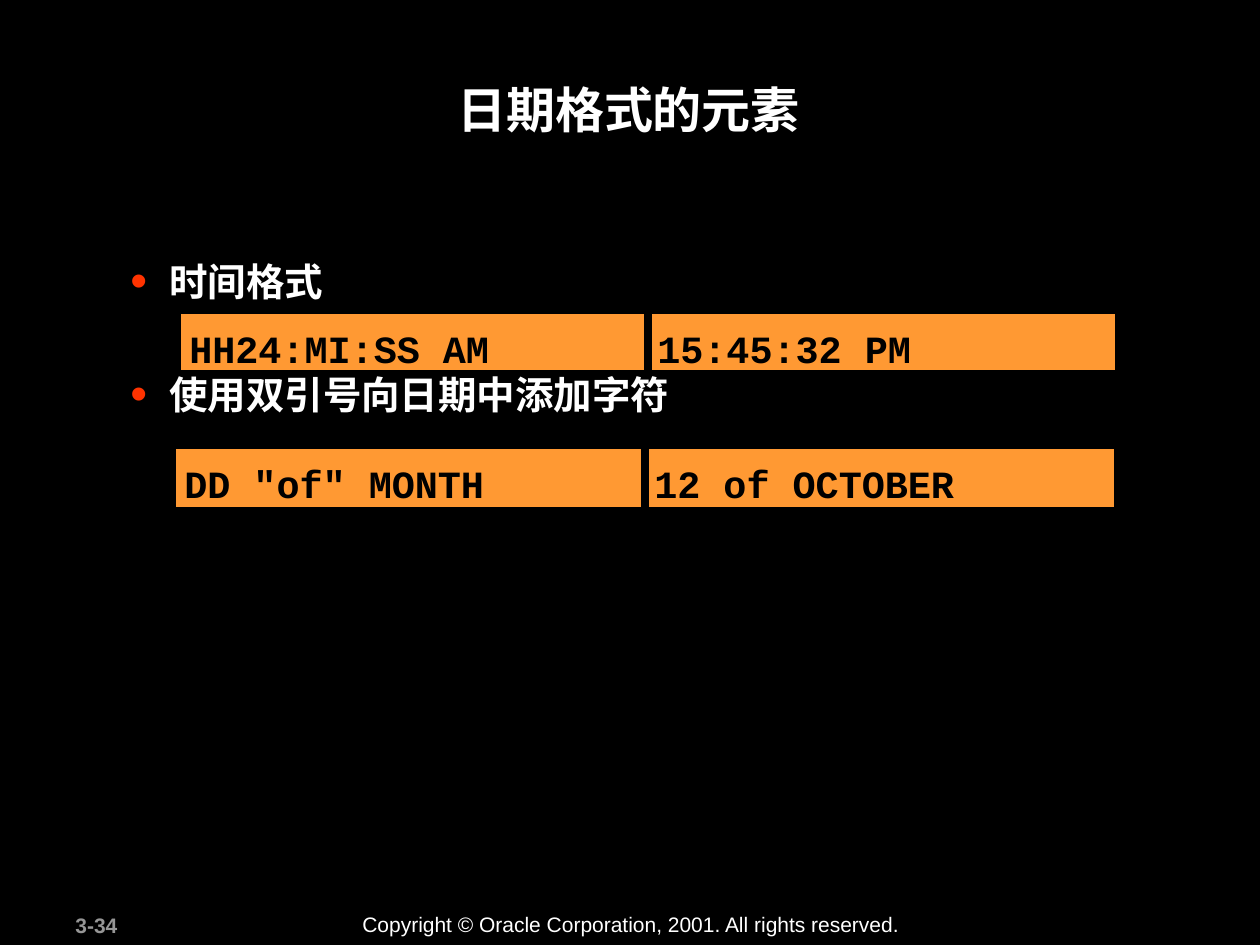
"""Builds the slide on the elements of date formats."""
from dataclasses import dataclass

from lxml.etree import SubElement
from pptx import Presentation
from pptx.dml.color import RGBColor
from pptx.enum.shapes import MSO_SHAPE
from pptx.enum.text import MSO_ANCHOR, PP_ALIGN
from pptx.oxml.ns import qn
from pptx.util import Emu, Pt

PX_PER_INCH = 126
GAP = 4
LABEL_SHIFTS = (-2, -5)
LABEL_DROP = 7
LABEL_HEIGHT = 59


@dataclass(frozen=True)
class ExampleRow:
    left: int
    top: int
    width: int
    height: int
    labels: tuple[str, str]


EXAMPLES = (
    ExampleRow(179, 312, 467, 60, ("HH24:MI:SS AM", "15:45:32 PM")),
    ExampleRow(174, 447, 469, 62, ('DD "of" MONTH', "12 of OCTOBER")),
)


def px(length: int) -> Emu:
    return Emu(round(length * 914400 / PX_PER_INCH))


def color(value: str) -> RGBColor:
    return RGBColor.from_string(value)


def add_bullet(paragraph) -> None:
    properties = paragraph._p.get_or_add_pPr()
    properties.set("marL", str(px(39)))
    properties.set("indent", str(-px(39)))
    bullet_color = SubElement(properties, qn("a:buClr"))
    SubElement(bullet_color, qn("a:srgbClr"), val="FF3300")
    SubElement(properties, qn("a:buSzPct"), val="125000")
    SubElement(properties, qn("a:buFont"), typeface="Arial")
    SubElement(properties, qn("a:buChar"), char="•")


def add_text(shapes, text: str, left: int, top: int, width: int, height: int, *,
             size: int, fill: str = "FFFFFF", face: str = "Arial", bold: bool = True,
             align: PP_ALIGN = PP_ALIGN.LEFT, bulleted: bool = False,
             line_spacing: float = 1.0, paragraph_gap: int = 0) -> None:
    frame = shapes.add_textbox(px(left), px(top), px(width), px(height)).text_frame
    frame.word_wrap = True
    frame.vertical_anchor = MSO_ANCHOR.TOP
    frame.text = text
    for index, paragraph in enumerate(frame.paragraphs):
        paragraph.alignment = align
        paragraph.line_spacing = line_spacing
        if index:
            paragraph.space_before = Pt(paragraph_gap)
        if bulleted:
            add_bullet(paragraph)
        for run in paragraph.runs:
            run.font.name = face
            run.font.size = Pt(size)
            run.font.bold = bold
            run.font.color.rgb = color(fill)


def add_panel(shapes, left: int, top: int, width: int, height: int) -> None:
    panel = shapes.add_shape(MSO_SHAPE.RECTANGLE, px(left), px(top), px(width), px(height))
    panel.shadow.inherit = False
    panel.fill.solid()
    panel.fill.fore_color.rgb = color("FF9933")
    panel.line.color.rgb = color("000000")
    panel.line.width = Pt(2)


def add_example(shapes, row: ExampleRow) -> None:
    members = shapes.add_group_shape().shapes
    lefts = [row.left + column * (row.width + GAP) for column in range(len(row.labels))]
    for left in lefts:
        add_panel(members, left, row.top, row.width, row.height)
    for left, shift, label in zip(lefts, LABEL_SHIFTS, row.labels):
        add_text(members, label, left + shift, row.top + LABEL_DROP, row.width, LABEL_HEIGHT,
                 size=22, fill="000000", face="Courier New")


def main() -> None:
    deck = Presentation()
    deck.slide_width, deck.slide_height = px(1260), px(945)
    slide = deck.slides.add_slide(deck.slide_layouts[6])
    slide.background.fill.solid()
    slide.background.fill.fore_color.rgb = color("000000")
    shapes = slide.shapes

    add_text(shapes, "3-34", 63, 906, 132, 38, size=12, fill="969696")
    add_text(shapes, "Copyright © Oracle Corporation, 2001. All rights reserved.",
             350, 905, 564, 38, size=12, bold=False)
    add_text(shapes, "日期格式的元素", 118, 73, 1021, 121, size=28, align=PP_ALIGN.CENTER)
    add_text(shapes, "时间格式\n使用双引号向日期中添加字符", 118, 249, 1018, 272, size=22,
             bulleted=True, line_spacing=1.05, paragraph_gap=37)
    for row in EXAMPLES:
        add_example(shapes, row)

    deck.save("out.pptx")


if __name__ == "__main__":
    main()
